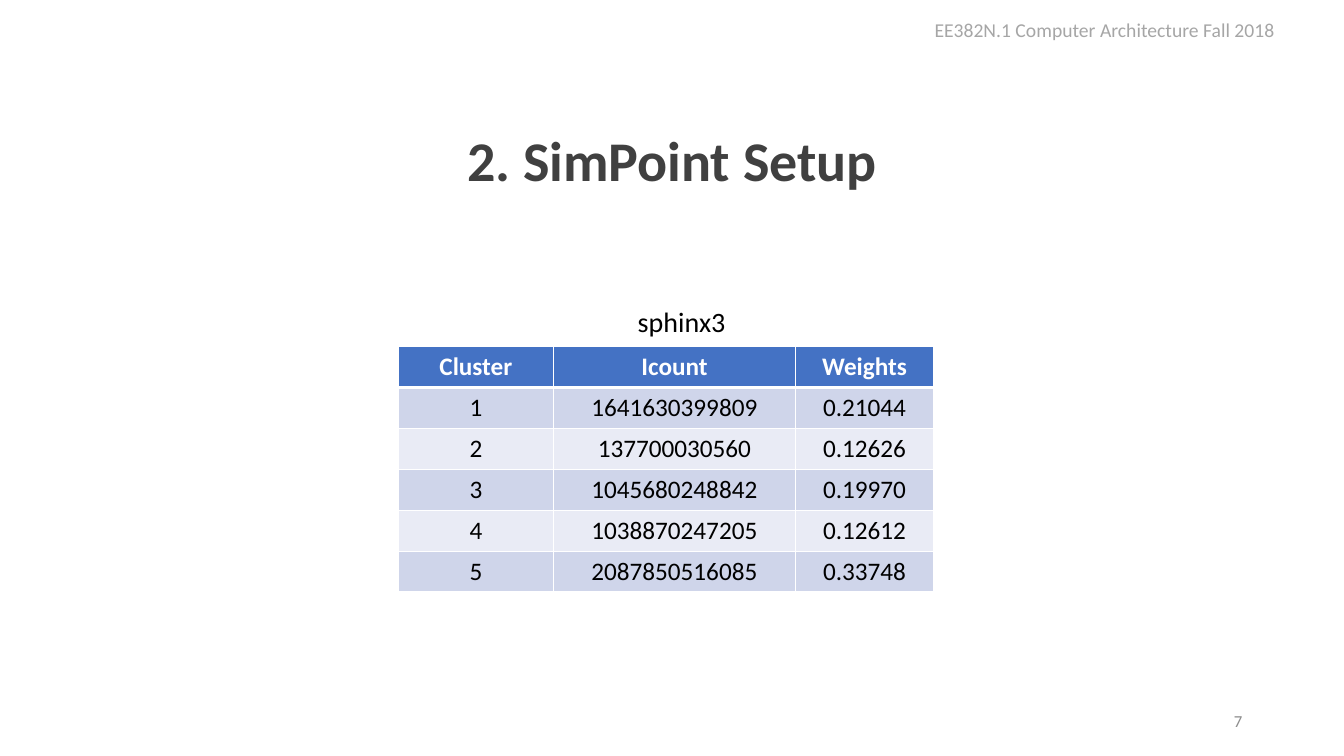
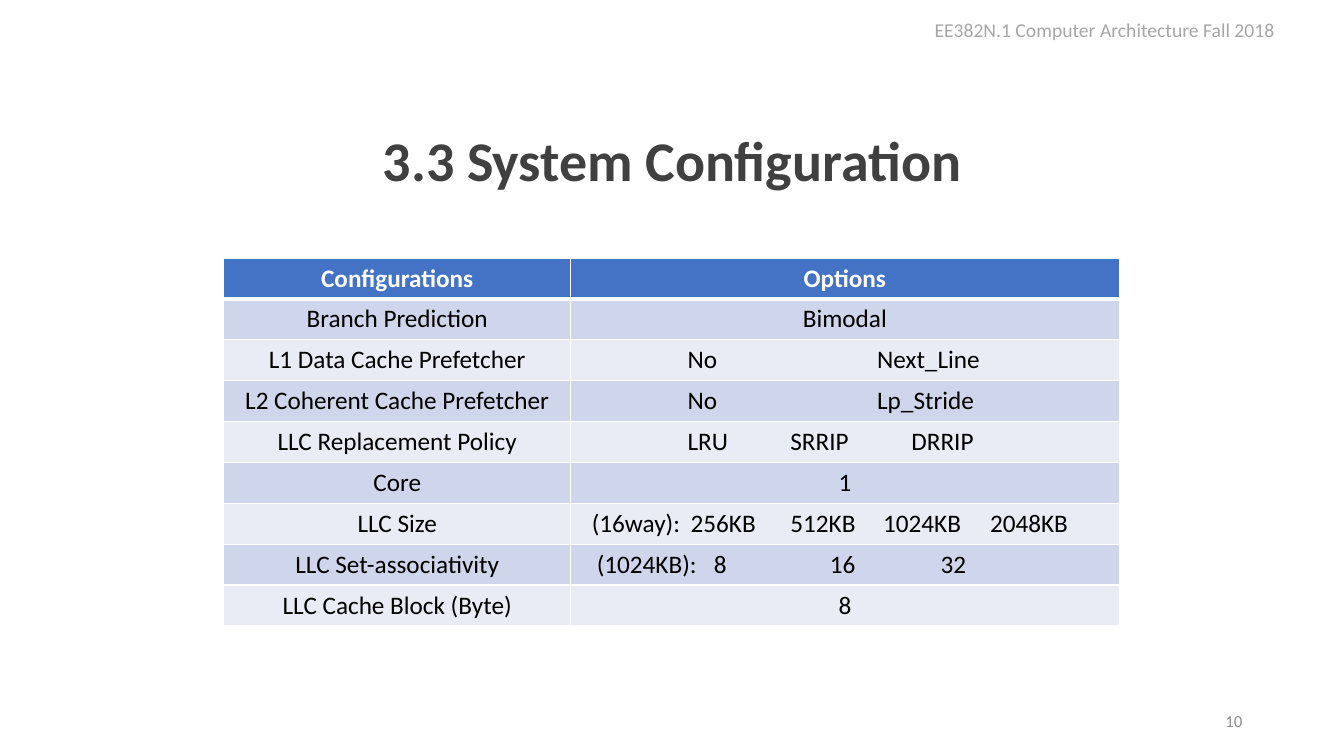
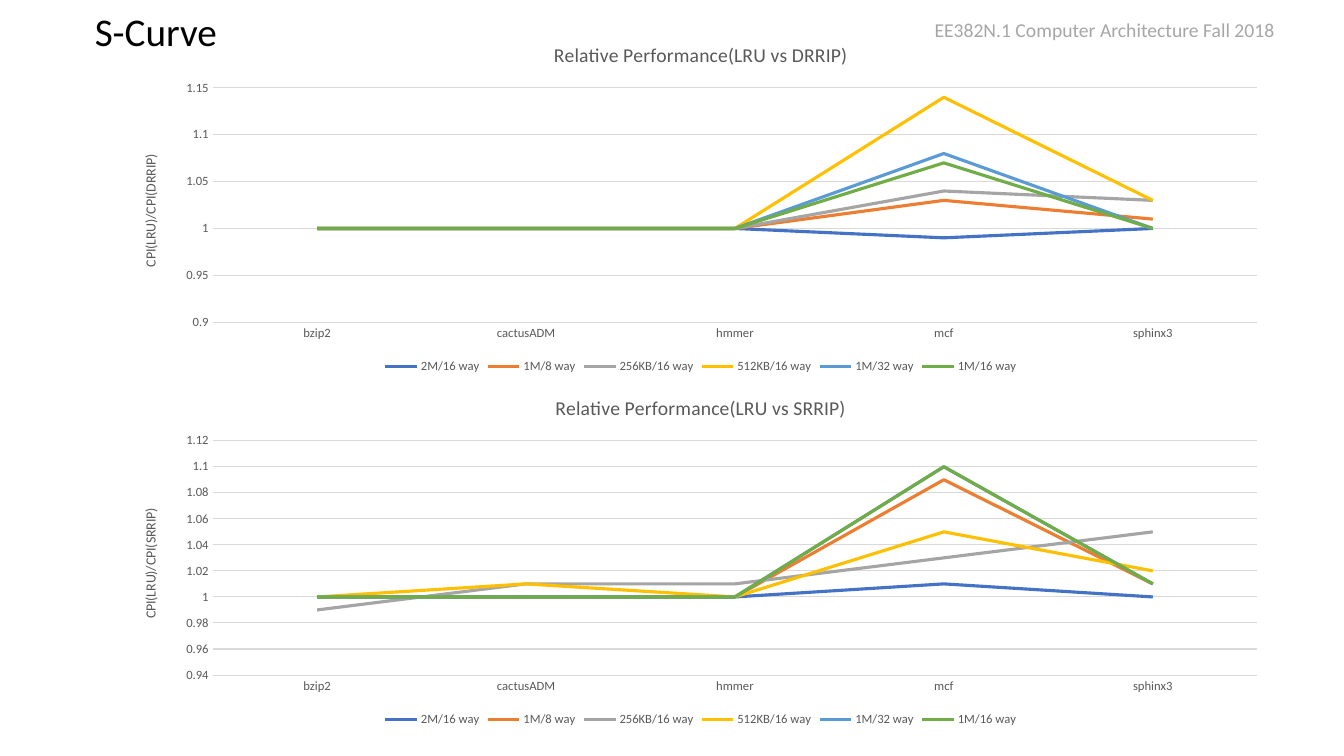
from lxml import etree
from pptx import Presentation
from pptx.chart.data import CategoryChartData
from pptx.dml.color import RGBColor
from pptx.enum.chart import XL_CHART_TYPE, XL_LEGEND_POSITION, XL_TICK_MARK
from pptx.enum.text import MSO_ANCHOR, MSO_AUTO_SIZE, PP_ALIGN
from pptx.oxml.ns import qn
from pptx.util import Inches, Pt

LINE_CHART = XL_CHART_TYPE.LINE
LEGEND_BOTTOM = XL_LEGEND_POSITION.BOTTOM
NO_TICKS = XL_TICK_MARK.NONE
TOP, MIDDLE = MSO_ANCHOR.TOP, MSO_ANCHOR.MIDDLE
NO_AUTOFIT = MSO_AUTO_SIZE.NONE
LEFT, CENTER, RIGHT = PP_ALIGN.LEFT, PP_ALIGN.CENTER, PP_ALIGN.RIGHT

FONT = "Calibri"
WHITE = RGBColor(0xFF, 0xFF, 0xFF)
BLACK = RGBColor(0x00, 0x00, 0x00)
TITLE_GRAY = RGBColor(0x40, 0x40, 0x40)
HEADER_GRAY = RGBColor(0xA6, 0xA6, 0xA6)
NUMBER_GRAY = RGBColor(0x8C, 0x8C, 0x8C)
CHART_GRAY = RGBColor(0x59, 0x59, 0x59)
GRID_GRAY = RGBColor(0xD9, 0xD9, 0xD9)
TABLE_BLUE = RGBColor(0x44, 0x72, 0xC4)
BANDS = (RGBColor(0xE9, 0xEB, 0xF5), RGBColor(0xCF, 0xD5, 0xEA))
SERIES_COLORS = (
    TABLE_BLUE,
    RGBColor(0xED, 0x7D, 0x31),
    RGBColor(0xA5, 0xA5, 0xA5),
    RGBColor(0xFF, 0xC0, 0x00),
    RGBColor(0x5B, 0x9B, 0xD5),
    RGBColor(0x70, 0xAD, 0x47),
)

COURSE = "EE382N.1 Computer Architecture Fall 2018"
TITLE_BOX = (1.29, 0.9, 10.75, 1.45)

SIMPOINT_ROWS = [
    ("Cluster", "Icount", "Weights"),
    ("1", "1641630399809", "0.21044"),
    ("2", "137700030560", "0.12626"),
    ("3", "1045680248842", "0.19970"),
    ("4", "1038870247205", "0.12612"),
    ("5", "2087850516085", "0.33748"),
]
# A list of (tab stop in inches, option) pairs fills one cell.
CONFIGURATION_ROWS = [
    ("Configurations", "Options"),
    ("Branch Prediction", "Bimodal"),
    ("L1 Data Cache Prefetcher", [(1.06, "No"), (2.94, "Next_Line")]),
    ("L2 Coherent Cache Prefetcher", [(1.06, "No"), (2.94, "Lp_Stride")]),
    ("LLC Replacement Policy",
     [(1.06, "LRU"), (2.08, "SRRIP"), (3.28, "DRRIP")]),
    ("Core", "1"),
    ("LLC Size", [(0.11, "(16way):"), (1.09, "256KB"), (2.08, "512KB"),
                  (3, "1024KB"), (4.06, "2048KB")]),
    ("LLC Set-associativity",
     [(0.16, "(1024KB):"), (1.32, "8"), (2.47, "16"), (3.57, "32")]),
    ("LLC Cache Block (Byte)", "8"),
]

BENCHMARKS = ("bzip2", "cactusADM", "hmmer", "mcf", "sphinx3")
CACHES = ("2M/16 way", "1M/8 way", "256KB/16 way",
          "512KB/16 way", "1M/32 way", "1M/16 way")
DRRIP_RATIOS = (
    (1, 1, 1, 0.99, 1),
    (1, 1, 1, 1.03, 1.01),
    (1, 1, 1, 1.04, 1.03),
    (1, 1, 1, 1.14, 1.03),
    (1, 1, 1, 1.08, 1),
    (1, 1, 1, 1.07, 1),
)
SRRIP_RATIOS = (
    (1, 1, 1, 1.01, 1),
    (1, 1, 1, 1.09, 1.01),
    (0.99, 1.01, 1.01, 1.03, 1.05),
    (1, 1.01, 1, 1.05, 1.02),
    (1, 1, 1, 1.1, 1.01),
    (1, 1, 1, 1.1, 1.01),
)


def style_font(font, size, color, bold=False):
    """Set the typeface, size, colour and weight of a font."""
    font.name = FONT
    font.size = Pt(size)
    font.bold = bold
    font.color.rgb = color


def write(paragraph, text, size, color, bold=False, align=LEFT):
    """Add one styled run to a paragraph."""
    paragraph.alignment = align
    run = paragraph.add_run()
    run.text = text
    style_font(run.font, size, color, bold)


def place(shape, box):
    """Put a shape at a left, top, width, height box in inches."""
    shape.left, shape.top, shape.width, shape.height = map(Inches, box)


def add_text(slide, box, text, size, color, align=LEFT, anchor=TOP):
    """Add a one-line text box."""
    shape = slide.shapes.add_textbox(*map(Inches, box))
    frame = shape.text_frame
    frame.word_wrap = True
    frame.vertical_anchor = anchor
    write(frame.paragraphs[0], text, size, color, align=align)
    return shape


def add_master_header(presentation, slide):
    """Move a course header onto the master, shared by all slides."""
    header = add_text(slide, (9.17, 0.13, 3.68, 0.34), COURSE, 14, HEADER_GRAY)
    tree = presentation.slide_master.shapes.element
    next(header.element.iter(qn("p:cNvPr"))).set("id", "100")
    tree.append(header.element)


def set_title(slide, text, size=40, color=TITLE_GRAY, bold=True, align=CENTER):
    """Fill the title placeholder."""
    frame = slide.shapes.title.text_frame
    frame.auto_size = NO_AUTOFIT
    frame.vertical_anchor = MIDDLE
    paragraph = frame.paragraphs[0]
    paragraph.line_spacing = 0.9
    write(paragraph, text, size, color, bold, align)


def add_slide_number(slide, number):
    """Show the slide number at the lower right."""
    add_text(slide, (9.42, 6.95, 3, 0.4), str(number), 12, NUMBER_GRAY,
             RIGHT, MIDDLE)


def set_borders(cell, top, bottom):
    """Draw white cell borders with the given top and bottom widths."""
    properties = cell._tc.get_or_add_tcPr()
    for side, width in (("L", 1), ("R", 1), ("T", top), ("B", bottom)):
        line = etree.SubElement(properties, qn(f"a:ln{side}"), w=str(Pt(width)))
        fill = etree.SubElement(line, qn("a:solidFill"))
        etree.SubElement(fill, qn("a:srgbClr"), val=str(WHITE))


def set_tab_stops(paragraph, stops):
    """Give a paragraph left tab stops, in inches."""
    properties = paragraph._p.get_or_add_pPr()
    tabs = etree.SubElement(properties, qn("a:tabLst"))
    for stop in stops:
        etree.SubElement(tabs, qn("a:tab"), pos=str(Inches(stop)), algn="l")


def fill_cell(cell, content, row, anchor):
    """Write and colour one cell; row 0 is the heading."""
    heading = row == 0
    set_borders(cell, 3 if row == 1 else 1, 3 if heading else 1)
    cell.fill.solid()
    cell.fill.fore_color.rgb = TABLE_BLUE if heading else BANDS[row % 2]
    cell.vertical_anchor = anchor
    paragraph = cell.text_frame.paragraphs[0]
    align = CENTER
    if isinstance(content, list):
        set_tab_stops(paragraph, [stop for stop, _ in content])
        content = "".join("\t" + option for _, option in content)
        align = LEFT
    write(paragraph, content, 18, WHITE if heading else BLACK, heading, align)


def add_data_table(slide, box, widths, rows, anchor=TOP):
    """Add a table with a blue heading and banded rows."""
    table = slide.shapes.add_table(
        len(rows), len(widths), *map(Inches, box)).table
    for column, width in zip(table.columns, widths):
        column.width = Inches(width)
    for row, contents in enumerate(rows):
        for column, content in enumerate(contents):
            fill_cell(table.cell(row, column), content, row, anchor)


def clear_background(chart):
    """Make the chart area transparent."""
    properties = etree.Element(qn("c:spPr"))
    etree.SubElement(properties, qn("a:noFill"))
    line = etree.SubElement(properties, qn("a:ln"))
    etree.SubElement(line, qn("a:noFill"))
    chart.element.find(qn("c:chart")).addnext(properties)


def style_line(line, color, width):
    """Set the colour and width of a line."""
    line.color.rgb = color
    line.width = Pt(width)


def style_axes(chart, policy, low, high, step):
    """Format both axes and title the value axis."""
    category_axis, value_axis = chart.category_axis, chart.value_axis
    for axis in (category_axis, value_axis):
        axis.major_tick_mark = axis.minor_tick_mark = NO_TICKS
        style_font(axis.tick_labels.font, 9, CHART_GRAY)
    style_line(category_axis.format.line, GRID_GRAY, 0.75)
    value_axis.format.line.fill.background()
    style_line(value_axis.major_gridlines.format.line, GRID_GRAY, 0.75)
    value_axis.minimum_scale, value_axis.maximum_scale = low, high
    value_axis.major_unit = step
    value_axis.tick_labels.number_format = "General"
    value_axis.tick_labels.number_format_is_linked = False
    title = value_axis.axis_title
    write(title.text_frame.paragraphs[0], f"CPI(LRU)/CPI({policy})", 10,
          CHART_GRAY, align=CENTER)
    body = next(title.element.iter(qn("a:bodyPr")))
    body.set("rot", "-5400000")
    body.set("vert", "horz")


def add_ratio_chart(slide, top, policy, ratios, scale):
    """Add a line chart comparing LRU with another policy."""
    data = CategoryChartData()
    data.categories = BENCHMARKS
    for cache, values in zip(CACHES, ratios):
        data.add_series(cache, values)
    box = map(Inches, (1.2, top, 11.5, 3.5))
    chart = slide.shapes.add_chart(LINE_CHART, *box, data).chart
    style_font(chart.font, 10, BLACK)
    clear_background(chart)
    write(chart.chart_title.text_frame.paragraphs[0],
          f"Relative Performance(LRU vs {policy})", 14, CHART_GRAY,
          align=CENTER)
    chart.chart_title.include_in_layout = False
    chart.has_legend = True
    chart.legend.position = LEGEND_BOTTOM
    chart.legend.include_in_layout = False
    style_font(chart.legend.font, 9, CHART_GRAY)
    style_axes(chart, policy, *scale)
    chart.plots[0].vary_by_categories = False
    for series, color in zip(chart.plots[0].series, SERIES_COLORS):
        series.smooth = False
        style_line(series.format.line, color, 2.25)


def build_simpoint(slide):
    """Build the SimPoint table slide."""
    set_title(slide, "2. SimPoint Setup")
    add_data_table(slide, (3.95, 3.44, 5.32, 2.43), (1.54, 2.4, 1.37),
                   SIMPOINT_ROWS, MIDDLE)
    add_text(slide, (4.79, 2.97, 3.94, 0.44), "sphinx3", 20, BLACK, CENTER)
    add_slide_number(slide, 7)


def build_configuration(slide):
    """Build the system configuration slide."""
    set_title(slide, "3.3 System Configuration")
    add_data_table(slide, (2.22, 2.56, 8.89, 3.65), (3.44, 5.44),
                   CONFIGURATION_ROWS)
    add_slide_number(slide, 10)


def build_s_curve(slide):
    """Build the slide with two performance charts."""
    set_title(slide, "S-Curve", 28, BLACK, False, LEFT)
    place(slide.shapes.title, (0.84, 0.08, 2.57, 0.52))
    add_ratio_chart(slide, 0.25, "DRRIP", DRRIP_RATIOS, (0.9, 1.15, 0.05))
    add_ratio_chart(slide, 3.75, "SRRIP", SRRIP_RATIOS, (0.94, 1.12, 0.02))


def main():
    """Build and save the presentation."""
    presentation = Presentation()
    presentation.slide_width = Inches(13.33)
    presentation.slide_height = Inches(7.5)
    layout = presentation.slide_layouts.get_by_name("Title Only")
    place(layout.placeholders[0], TITLE_BOX)
    builders = (build_simpoint, build_configuration, build_s_curve)
    slides = [presentation.slides.add_slide(layout) for _ in builders]
    add_master_header(presentation, slides[0])
    for build, slide in zip(builders, slides):
        build(slide)
    presentation.save("out.pptx")


main()
